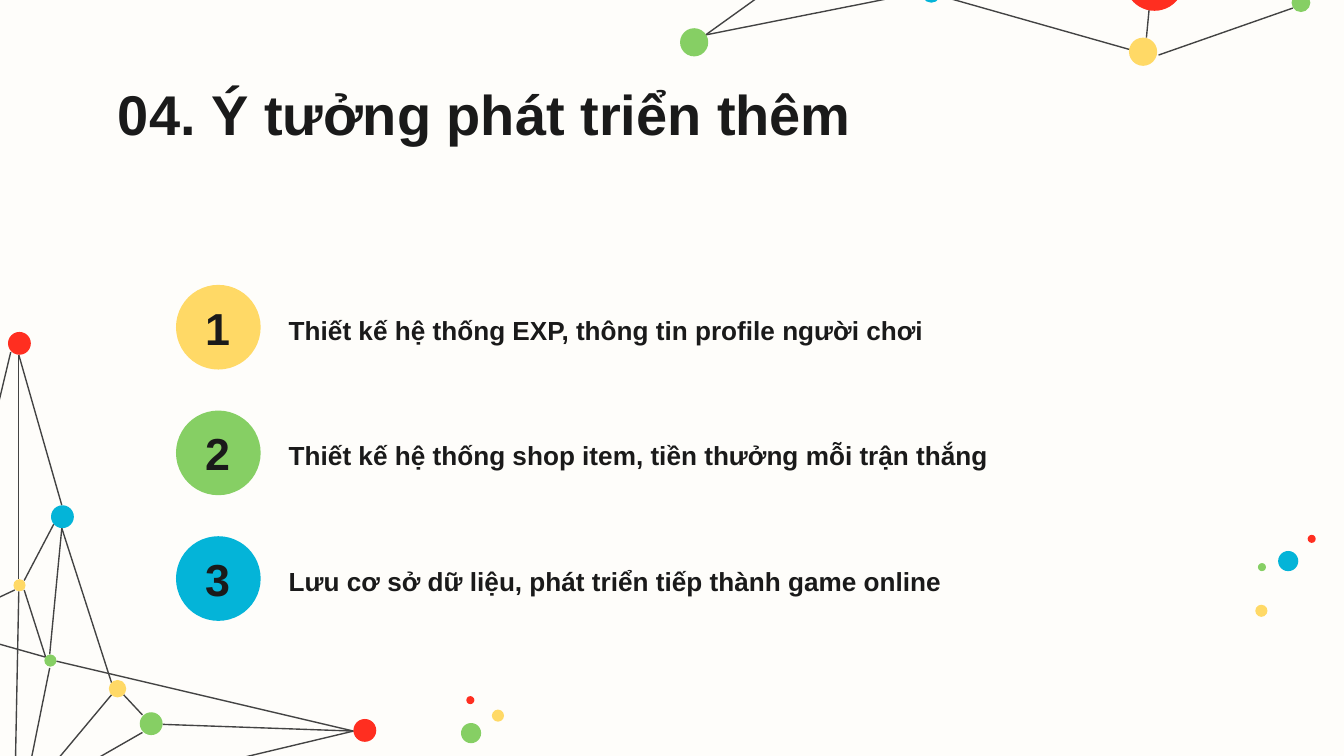
"""Build the slide of three further development ideas, framed by a network of dots."""
from typing import NamedTuple

import pptx
import pptx.dml.color
import pptx.enum.shapes
import pptx.enum.text
import pptx.oxml.ns
import pptx.util
from lxml import etree

Inches = pptx.util.Inches
Anchor = pptx.enum.text.MSO_ANCHOR
Align = pptx.enum.text.PP_ALIGN

PAPER, INK, WIRE = "FEFDFA", "1A1A1A", "434343"
YELLOW, GREEN, BLUE, RED = "FFD966", "86CF64", "04B4D8", "FF2E20"


class Dot(NamedTuple):
    left: float
    top: float
    size: float
    color: str


class Link(NamedTuple):
    x1: float
    y1: float
    x2: float
    y2: float


class Step(NamedTuple):
    number: str
    text: str
    color: str


CONFETTI = [
    Dot(9.34, 4.5, 0.09, YELLOW), Dot(9.51, 4.1, 0.15, BLUE),
    Dot(9.73, 3.98, 0.06, RED), Dot(9.36, 4.19, 0.06, GREEN),
    Dot(3.66, 5.28, 0.09, YELLOW), Dot(3.43, 5.38, 0.15, GREEN),
    Dot(3.47, 5.18, 0.06, RED),
]
TOP_NODES = [
    Dot(5.06, 0.21, 0.21, GREEN), Dot(8.37, -0.36, 0.44, RED),
    Dot(6.86, -0.12, 0.14, BLUE), Dot(9.61, -0.05, 0.14, GREEN),
    Dot(8.4, 0.28, 0.21, YELLOW),
]
TOP_LINKS = [
    Link(5.25, 0.26, 6.74, -0.81), Link(5.25, 0.26, 6.86, -0.06),
    Link(9.62, 0.06, 8.62, 0.41), Link(8.41, 0.37, 7, -0.03),
    Link(8.53, 0.28, 8.55, 0.07),
]
LEFT_NODES = [
    Dot(2.63, 5.35, 0.17, RED), Dot(0.06, 2.47, 0.17, RED),
    Dot(0.1, 4.31, 0.09, YELLOW), Dot(0.38, 3.76, 0.17, BLUE),
    Dot(1.04, 5.3, 0.17, GREEN), Dot(0.81, 5.06, 0.13, YELLOW),
    Dot(0.33, 4.87, 0.09, GREEN),
]
LEFT_LINKS = [
    Link(0.42, 4.92, 2.63, 5.44), Link(0.46, 3.76, 0.14, 2.64),
    Link(0.14, 4.31, 0.14, 2.64), Link(0.18, 4.32, 0.4, 3.9),
    Link(0.14, 4.4, 0.11, 5.93), Link(0.18, 4.39, 0.34, 4.89),
    Link(0.17, 5.96, 0.37, 4.97), Link(0.2, 6.02, 2.63, 5.44),
    Link(0.83, 5.17, 0.17, 5.96), Link(0.46, 3.93, 0.37, 4.87),
    Link(0.46, 3.93, 0.83, 5.08), Link(0.17, 5.96, 1.06, 5.45),
    Link(0.92, 5.17, 1.06, 5.32), Link(1.21, 5.39, 2.63, 5.44),
    Link(-0.37, 4.69, 0.34, 4.89), Link(-0.4, 4.63, 0.11, 4.39),
    Link(-0.4, 4.63, 0.08, 2.62),
]
STEPS = [
    Step("1", "Thiết kế hệ thống EXP, thông tin profile người chơi", YELLOW),
    Step("2", "Thiết kế hệ thống shop item, tiền thưởng mỗi trận thắng", GREEN),
    Step("3", "Lưu cơ sở dữ liệu, phát triển tiếp thành game online", BLUE),
]
FIRST_TOP, LAST_TOP = 2.12, 3.99


def paint(fmt, color: str) -> None:
    fmt.solid()
    fmt.fore_color.rgb = pptx.dml.color.RGBColor.from_string(color)


def add_dot(s, dot: Dot) -> None:
    sp = s.shapes.add_shape(
        pptx.enum.shapes.MSO_SHAPE.OVAL, *map(Inches, (dot.left, dot.top, dot.size, dot.size)))
    sp.shadow.inherit = False
    sp.line.fill.background()
    paint(sp.fill, dot.color)


def add_link(s, link: Link) -> None:
    cxn = s.shapes.add_connector(
        pptx.enum.shapes.MSO_CONNECTOR.STRAIGHT, *map(Inches, link))
    paint(cxn.line.fill, WIRE)
    cxn.line.width = pptx.util.Pt(0.75)
    etree.SubElement(cxn._element.spPr, pptx.oxml.ns.qn("a:effectLst"))


def add_text(s, box: tuple[float, float, float, float], text: str, size: int,
             anchor=Anchor.MIDDLE, align=Align.LEFT, spacing: float = 1.0) -> None:
    tf = s.shapes.add_textbox(*map(Inches, box)).text_frame
    tf.word_wrap = True
    tf.vertical_anchor = anchor
    tf.margin_left = tf.margin_right = tf.margin_top = tf.margin_bottom = Inches(0.1)
    p = tf.paragraphs[0]
    p.alignment = align
    p.line_spacing = spacing
    r = p.add_run()
    r.text = text
    r.font.name = "Arial"
    r.font.size = pptx.util.Pt(size)
    r.font.bold = True
    paint(r.font.fill, INK)


def add_step(s, step: Step, top: float) -> None:
    add_text(s, (2.05, top, 6.55, 0.63), step.text, 14, spacing=1.15)
    add_dot(s, Dot(1.31, top, 0.63, step.color))
    add_text(s, (1.28, top + 0.13, 0.69, 0.37), step.number, 24, align=Align.CENTER)


def main() -> None:
    prs = pptx.Presentation()
    prs.slide_width, prs.slide_height = Inches(10), Inches(10 * 9 / 16)
    s = prs.slides.add_slide(prs.slide_layouts[6])
    paint(s.background.fill, PAPER)
    for link in TOP_LINKS + LEFT_LINKS:
        add_link(s, link)
    for dot in CONFETTI + TOP_NODES + LEFT_NODES:
        add_dot(s, dot)
    add_text(s, (0.78, 0.49, 8.44, 0.63), "04. Ý tưởng phát triển thêm", 30, anchor=Anchor.TOP)
    pitch = (LAST_TOP - FIRST_TOP) / (len(STEPS) - 1)
    for i, step in enumerate(STEPS):
        add_step(s, step, FIRST_TOP + i * pitch)
    prs.save("out.pptx")


if __name__ == "__main__":
    main()
